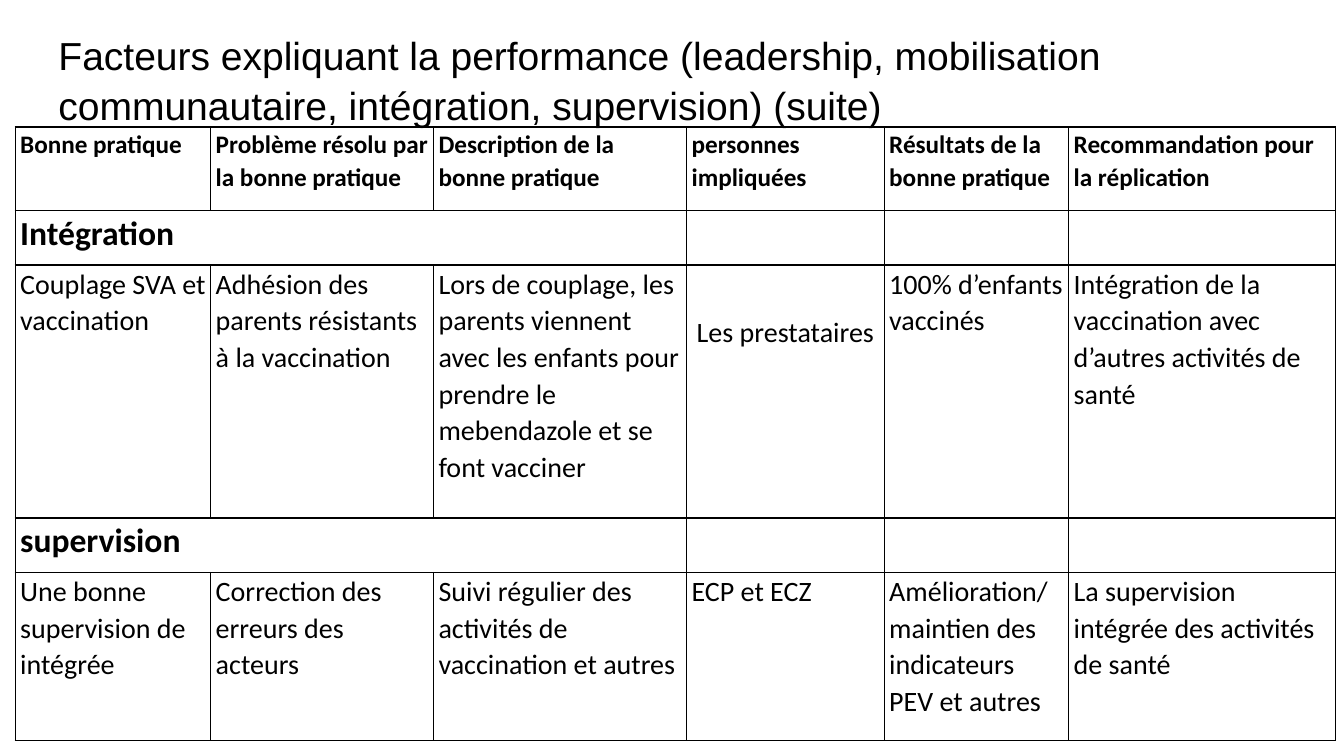
from lxml.etree import SubElement
from pptx import Presentation
from pptx.dml.color import RGBColor
from pptx.enum.text import MSO_ANCHOR, MSO_AUTO_SIZE, PP_ALIGN
from pptx.oxml.ns import qn
from pptx.util import Inches, Pt

COLORS = {"ink": "000000", "border": "000000"}
COLUMN_WIDTHS = [1.94, 2.21, 2.51, 1.96, 1.83, 2.65]
ROW_HEIGHTS = [0.83, 0.54, 2.51, 0.54, 1.67]
SECTION_SPAN = 3

# Each row: text size, bold, cell texts
PRACTICES = [
    (18, True, ["Bonne pratique", "Problème résolu par la bonne pratique",
                "Description de la bonne pratique", "personnes impliquées",
                "Résultats de la bonne pratique",
                "Recommandation pour la réplication"]),
    (24, True, ["Intégration"]),
    (20, False, ["Couplage SVA et vaccination",
                 "Adhésion des parents résistants à la vaccination",
                 "Lors de couplage, les parents viennent avec les enfants pour "
                 "prendre le mebendazole et se font vacciner",
                 "Les prestataires", "100% d’enfants vaccinés",
                 "Intégration de la vaccination avec d’autres activités de santé"]),
    (24, True, ["supervision"]),
    (20, False, ["Une bonne supervision de intégrée",
                 "Correction des erreurs des acteurs",
                 "Suivi régulier des activités de vaccination et autres",
                 "ECP et ECZ",
                 "Amélioration/maintien des indicateurs PEV et autres",
                 "La supervision intégrée des activités de santé"]),
]


def add_text(paragraph, text, font_name, size, bold=False):
    paragraph.line_spacing = 1.07
    run = paragraph.add_run()
    run.text = text
    run.font.name = font_name
    run.font.size = Pt(size)
    run.font.bold = bold
    run.font.color.rgb = RGBColor.from_string(COLORS["ink"])


def frame_cell(cell):
    properties = cell._tc.get_or_add_tcPr()
    for side in ("a:lnL", "a:lnR", "a:lnT", "a:lnB"):
        line = SubElement(properties, qn(side), w=str(Pt(1)))
        fill = SubElement(line, qn("a:solidFill"))
        SubElement(fill, qn("a:srgbClr"), val=COLORS["border"])
    cell.fill.background()
    cell.margin_left = cell.margin_right = Inches(0.05)
    cell.margin_top = cell.margin_bottom = 0


presentation = Presentation()
presentation.slide_width, presentation.slide_height = Inches(13.33), Inches(7.5)
slide = presentation.slides.add_slide(presentation.slide_layouts[5])

# Title
heading = slide.shapes.title
heading.left, heading.top = Inches(0.45), Inches(0.15)
heading.width, heading.height = Inches(12.42), Inches(0.9)
heading_text = heading.text_frame
heading_text.auto_size = MSO_AUTO_SIZE.NONE
heading_text.word_wrap = True
heading_text.vertical_anchor = MSO_ANCHOR.TOP
heading_text.margin_left = heading_text.margin_right = Inches(0.13)
heading_text.margin_top = heading_text.margin_bottom = Inches(0.13)
heading_text.paragraphs[0].alignment = PP_ALIGN.LEFT
add_text(heading_text.paragraphs[0],
         "Facteurs expliquant la performance (leadership, mobilisation "
         "communautaire, intégration, supervision) (suite)", "Arial", 27.9)

# Table of good practices
practices = slide.shapes.add_table(
    len(ROW_HEIGHTS), len(COLUMN_WIDTHS), Inches(0.15), Inches(1.26),
    Inches(sum(COLUMN_WIDTHS)), Inches(sum(ROW_HEIGHTS))).table
practices.first_row = practices.horz_banding = False
for column, width in zip(practices.columns, COLUMN_WIDTHS):
    column.width = Inches(width)
for row, height in zip(practices.rows, ROW_HEIGHTS):
    row.height = Inches(height)
for cell in practices.iter_cells():
    frame_cell(cell)

# Cell texts; a row with one text is a section heading
for r, (size, bold, texts) in enumerate(PRACTICES):
    if len(texts) == 1:
        practices.cell(r, 0).merge(practices.cell(r, SECTION_SPAN - 1))
    for c, text in enumerate(texts):
        paragraph = practices.cell(r, c).text_frame.paragraphs[0]
        paragraph.space_after = Pt(8)
        add_text(paragraph, text, "Calibri", size, bold)

# The providers' cell sits one line lower, centred
providers = practices.cell(2, 3)
providers.margin_top = Inches(0.48)
providers.text_frame.paragraphs[0].alignment = PP_ALIGN.CENTER

presentation.save("out.pptx")
